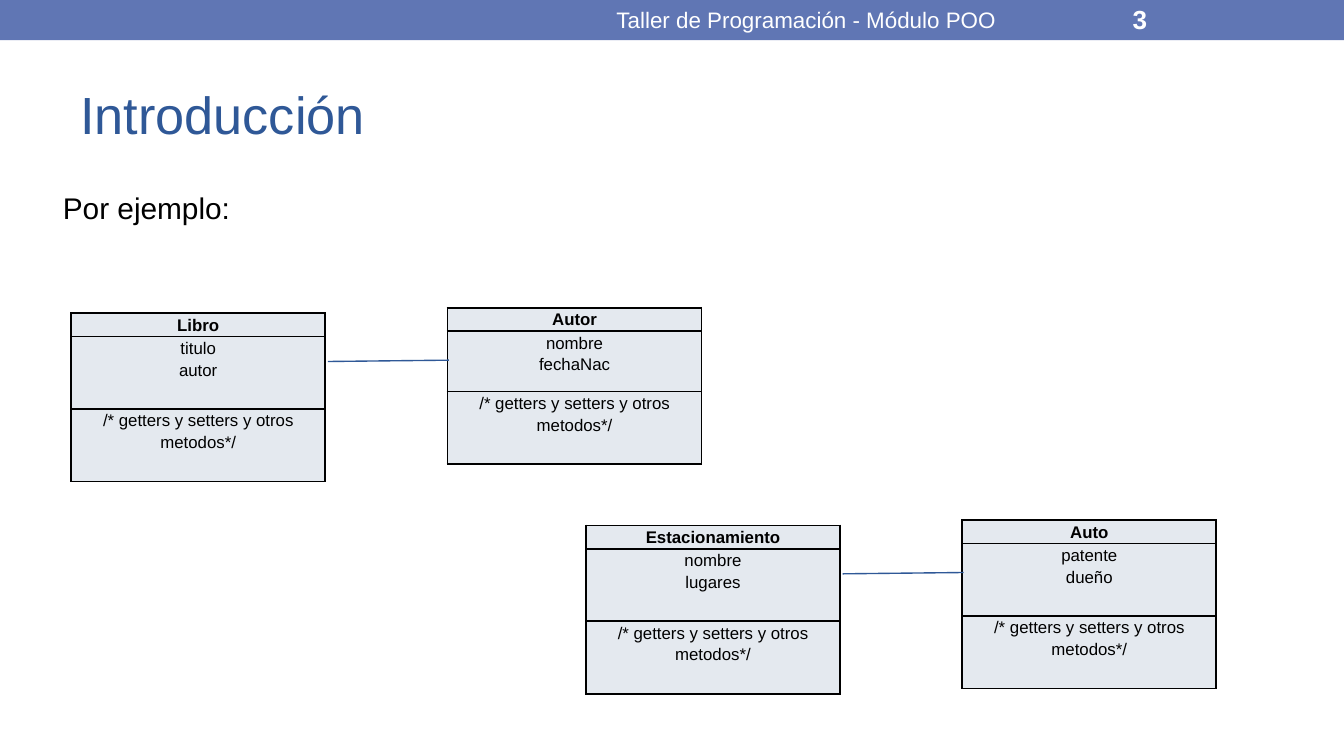
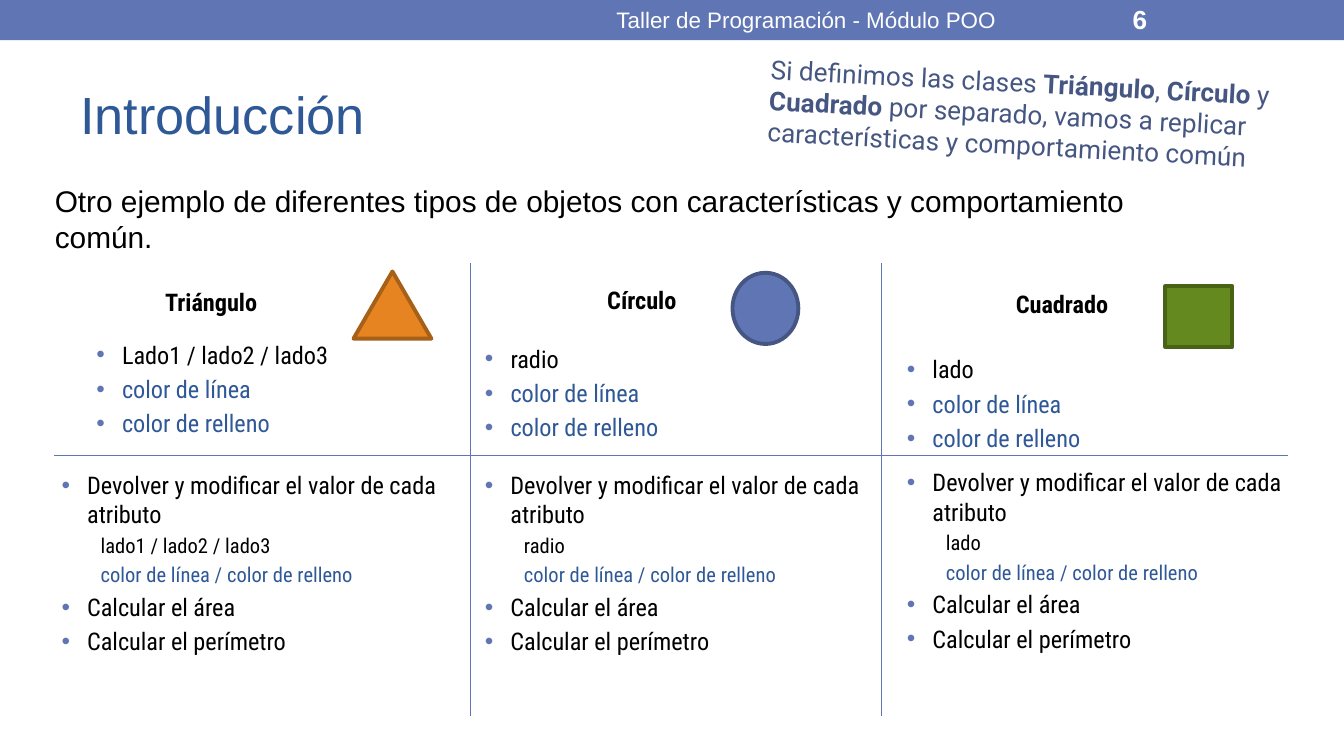
import pptx
import pptx.util
import pptx.dml.color
import pptx.enum.shapes
import pptx.enum.text
import pptx.oxml.ns
import lxml.etree

PX = 9144  # EMU in one px, at 100 px to the inch
COLORS = {
    "band": "6076B4", "title": "2F5897", "ink": "000000", "light": "FFFFFF",
    "cell": "E4E9EF", "note": "465683",
    "orange": "E68422", "orange_edge": "A76018",
    "green": "63891F", "green_edge": "486316",
}
SHAPES = pptx.enum.shapes.MSO_SHAPE
CENTER = pptx.enum.text.PP_ALIGN.CENTER
MIDDLE = pptx.enum.text.MSO_ANCHOR.MIDDLE

TITLE = {"name": "Arial", "size": 28, "color": "title"}
LEAD = {"name": "Arial", "size": 16, "color": "ink"}
FOOTER = {"name": "Arial", "size": 12, "color": "light"}
NUMBER = {"name": "Arial", "size": 14, "color": "light", "bold": True}
CELL = {"name": "Arial", "size": 9, "color": "ink"}
ITEM = {"name": "Roboto Condensed", "size": 13, "color": "ink"}
SUBITEM = {**ITEM, "size": 11}
NOTE = {"name": "Roboto", "size": 14, "color": "note"}
COMMON = {"color": "title"}  # what all the classes share


def px(*lengths):
    return [pptx.util.Emu(length * PX) for length in lengths]


def rgb(color):
    return pptx.dml.color.RGBColor.from_string(COLORS[color])


def add_child(parent, tag, **attributes):
    child = lxml.etree.SubElement(parent, pptx.oxml.ns.qn(tag))
    for key, value in attributes.items():
        child.set(key, value)
    return child


# ---- Text ----
def write_run(paragraph, words, style):
    run = paragraph.add_run()
    run.text = words
    values = {**style, "size": pptx.util.Pt(style["size"])}
    run.font.color.rgb = rgb(values.pop("color"))
    for key, value in values.items():
        setattr(run.font, key, value)


def write(frame, paragraphs):
    """Each paragraph is (runs, format values, bullet); a run is (words, style)."""
    for index, (runs, values, decorate) in enumerate(paragraphs):
        paragraph = frame.add_paragraph() if index else frame.paragraphs[0]
        for key, value in values.items():
            setattr(paragraph, key, value)
        if decorate:
            decorate(paragraph)
        for words, style in runs:
            write_run(paragraph, words, style)


def line(words, style, decorate=None, **values):
    return [(words, style)], values, decorate


def add_text(slide, box, paragraphs, inset=5, **values):
    textbox = slide.shapes.add_textbox(*px(*box))
    frame = textbox.text_frame
    frame.word_wrap = True
    margins = dict(zip(("margin_left", "margin_right", "margin_top", "margin_bottom"),
                       px(10, 10, inset, inset)))
    for key, value in {**margins, **values}.items():
        setattr(frame, key, value)
    write(frame, paragraphs)
    return textbox


def indent(paragraph, left, first):
    properties = paragraph._p.get_or_add_pPr()
    properties.set("marL", str(left * PX))
    properties.set("indent", str(first * PX))
    return properties


def bullet(paragraph):
    properties = indent(paragraph, 20, -19)
    add_child(add_child(properties, "a:buClr"), "a:srgbClr", val=COLORS["band"])
    add_child(properties, "a:buFont", typeface="Arial")
    add_child(properties, "a:buChar", char="•")


def sublevel(paragraph):
    add_child(indent(paragraph, 30, 0), "a:buNone")


def item(words, first=False, **style):
    before = pptx.util.Pt(0 if first else 2.8)
    return line(words, {**ITEM, **style}, bullet, space_before=before)


def subitem(words, **style):
    return line(words, {**SUBITEM, **style}, sublevel, level=1,
                space_before=pptx.util.Pt(2.4))


# ---- Shapes and lines ----
def add_figure(slide, kind, box, fill, edge=None):
    figure = slide.shapes.add_shape(kind, *px(*box))
    figure.shadow.inherit = False
    figure.fill.solid()
    figure.fill.fore_color.rgb = rgb(fill)
    if edge:
        figure.line.color.rgb = rgb(edge)
        figure.line.width = pptx.util.Pt(2.08)
    else:
        figure.line.fill.background()


def add_rule(slide, ends, color):
    rule = slide.shapes.add_connector(pptx.enum.shapes.MSO_CONNECTOR.STRAIGHT, *px(*ends))
    rule.line.color.rgb = rgb(color)
    rule.line.width = pptx.util.Pt(0.75)
    add_child(rule._element.spPr, "a:effectLst")


# ---- Band, footer and title on every slide ----
def add_base(deck, number):
    slide = deck.slides.add_slide(deck.slide_layouts[6])
    add_figure(slide, SHAPES.RECTANGLE, (0, 0, 1000, 30), "band")
    add_text(slide, (50, 44, 900, 81), [line("Introducción", TITLE)], vertical_anchor=MIDDLE)
    add_text(slide, (375, 1, 450, 27),
             [line("Taller de Programación - Módulo POO", FOOTER, alignment=CENTER)],
             vertical_anchor=MIDDLE)
    add_text(slide, (833, 1, 117, 27), [line(number, NUMBER)], vertical_anchor=MIDDLE)
    return slide


# ---- Class diagrams ----
def style_cell(cell):
    for side in ("left", "right"):
        setattr(cell, f"margin_{side}", px(7)[0])
    cell.margin_top = cell.margin_bottom = 0
    properties = cell._tc.get_or_add_tcPr()
    for side in ("a:lnL", "a:lnR", "a:lnT", "a:lnB"):
        border = add_child(properties, side, w=str(pptx.util.Pt(1)))
        add_child(add_child(border, "a:solidFill"), "a:srgbClr", val=COLORS["ink"])
    cell.fill.solid()
    cell.fill.fore_color.rgb = rgb("cell")


def add_class(slide, left, top, name, fields, field_height=54):
    heights = (15, field_height, 54)
    box = px(left, top, 189, sum(heights))
    table = slide.shapes.add_table(3, 1, *box).table
    table.first_row = table.horz_banding = False
    contents = ([name], fields, ["/* getters y setters y otros metodos*/"])
    for index, (height, words) in enumerate(zip(heights, contents)):
        table.rows[index].height = px(height)[0]
        cell = table.cell(index, 0)
        style_cell(cell)
        style = {**CELL, "bold": index == 0}
        write(cell.text_frame, [line(word, style, alignment=CENTER, line_spacing=1.15)
                                for word in words])


def add_association(slide, left, top, owner, part):
    add_class(slide, left, top, *owner)
    add_class(slide, left + 280, top - 4, *part)
    add_rule(slide, (left + 191, top + 36, left + 281, top + 35), "title")


def build_associations(deck):
    slide = add_base(deck, "3")
    gap = pptx.util.Pt(20)
    add_text(slide, (37, 132, 927, 81),
             [line("Por ejemplo:", LEAD, line_spacing=1.15, space_before=gap, space_after=gap)])
    add_association(slide, 53, 233, ("Libro", ["titulo", "autor"]),
                    ("Autor", ["nombre", "fechaNac"], 45))
    add_association(slide, 436, 391, ("Estacionamiento", ["nombre", "lugares"]),
                    ("Auto", ["patente", "dueño"]))


# ---- Comparison of the three figures ----
# Boxes are relative to the column's left and top.
FIGURES = [
    {"left": 35, "name": "Triángulo", "fields": ("Lado1 / lado2 / lado3", "lado1 / lado2 / lado3"),
     "heading": (78, 13, 154, 34), "state": (26, 52, 250, 94), "behaviour": (0, 149, 315, 181),
     "kind": SHAPES.ISOSCELES_TRIANGLE, "icon": (228, 6, 58, 50),
     "fill": "orange", "edge": "orange_edge"},
    {"left": 350, "name": "Círculo", "fields": ("radio", "radio"),
     "heading": (92, 11, 117, 34), "state": (0, 55, 239, 94), "behaviour": (0, 149, 307, 201),
     "kind": SHAPES.OVAL, "icon": (195, 7, 49, 53), "fill": "band", "edge": "note"},
    {"left": 664, "name": "Cuadrado", "fields": ("lado", "lado"),
     "heading": (82, 14, 149, 34), "state": (0, 63, 206, 94), "behaviour": (0, 147, 307, 201),
     "kind": SHAPES.RECTANGLE, "icon": (203, 17, 50, 45), "fill": "green", "edge": "green_edge"},
]


def add_column(slide, top, figure):
    def place(part):
        dx, dy, width, height = figure[part]
        return figure["left"] + dx, top + dy, width, height

    state, accessor = figure["fields"]
    add_text(slide, place("heading"), [line(figure["name"], {**ITEM, "bold": True})])
    add_text(slide, place("state"), [
        item(state, first=True),
        item("color de línea", **COMMON),
        item("color de relleno", **COMMON),
    ])
    add_text(slide, place("behaviour"), [
        item("Devolver y modificar el valor de cada atributo", first=True),
        subitem(accessor),
        subitem("color de línea / color de relleno", **COMMON),
        item("Calcular el área"),
        item("Calcular el perímetro"),
    ])
    add_figure(slide, figure["kind"], place("icon"), figure["fill"], figure["edge"])


def add_note(slide, box):
    strong = {**NOTE, "bold": True}
    runs = [("Si definimos las clases ", NOTE), ("Triángulo", strong), (", ", NOTE),
            ("Círculo", strong), (" y ", NOTE), ("Cuadrado", strong),
            (" por separado, vamos a replicar características y comportamiento común", NOTE)]
    note = add_text(slide, box, [(runs, {"space_before": pptx.util.Pt(3.6)}, None)], inset=10)
    note.rotation = 3


def build_comparison(deck):
    slide = add_base(deck, "6")
    add_text(slide, (31, 131, 892, 44),
             [line("Otro ejemplo de diferentes tipos de objetos con características "
                   "y comportamiento común.", LEAD)])
    top = 196
    for x in (350, 656):
        add_rule(slide, (x, top, x, top + 337), "band")
    add_rule(slide, (40, top + 143, 958, top + 143), "band")
    for figure in FIGURES:
        add_column(slide, top, figure)
    add_note(slide, (562, 40, 421, 101))


def main():
    deck = pptx.Presentation()
    deck.slide_width = px(1000)[0]
    deck.slide_height = deck.slide_width * 9 // 16
    build_associations(deck)
    build_comparison(deck)
    deck.save("out.pptx")


if __name__ == "__main__":
    main()
